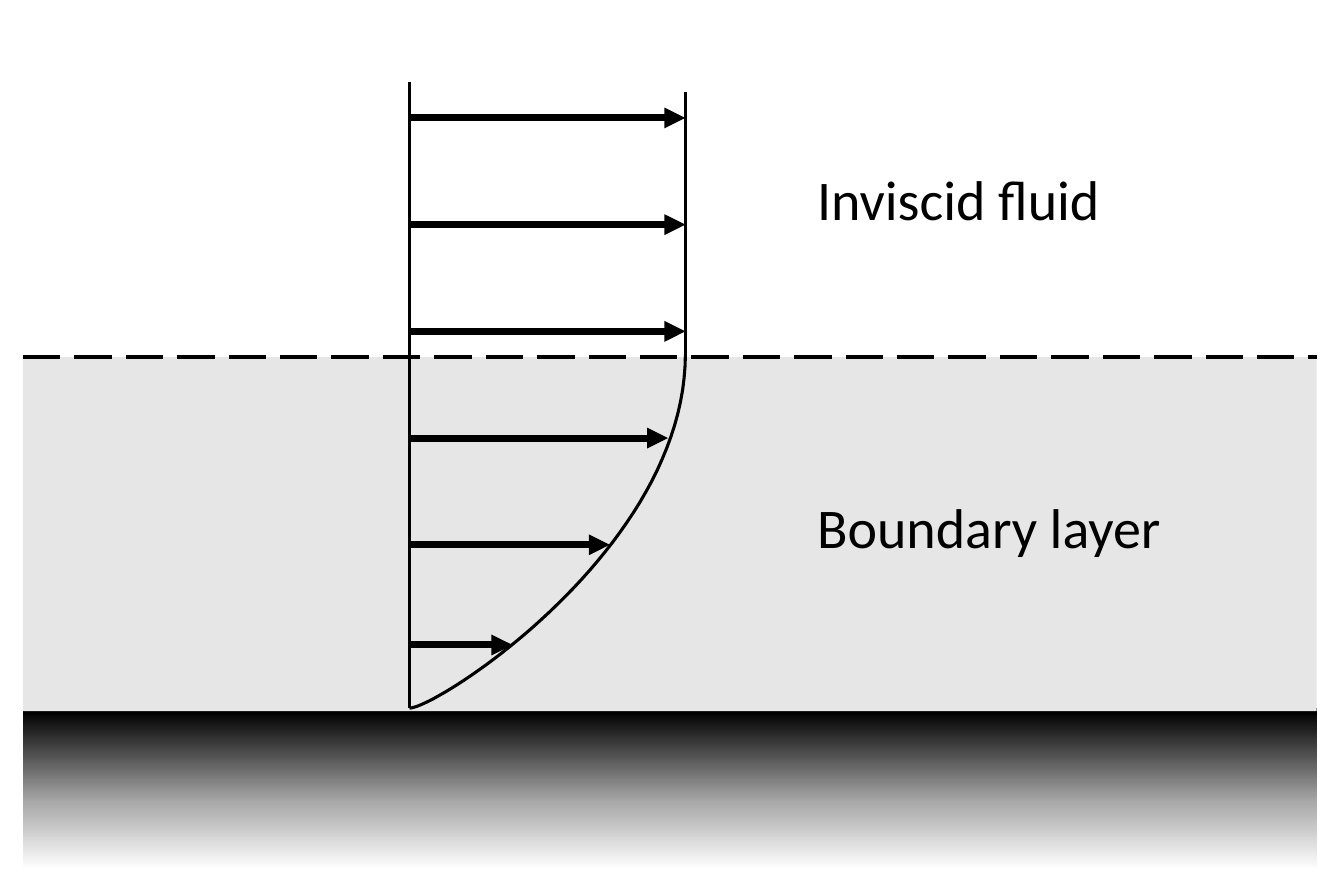
import copy

import pptx
import pptx.dml.color
import pptx.enum.dml
import pptx.enum.shapes
import pptx.enum.text
import pptx.oxml
import pptx.oxml.ns
import pptx.util

Pt = pptx.util.Pt
qn = pptx.oxml.ns.qn

BLACK = "000000"
LEFT, RIGHT = 7.4, 423.3          # extent of the flow region
LAYER_TOP, WALL_TOP = 114.8, 228.6
PROFILE_X, FREE_X = 131.6, 220.3  # zero velocity and free-stream velocity
CURVE_TOP, CURVE_BOTTOM = 113.8, 227.6


def color(hex_value):
    return pptx.dml.color.RGBColor.from_string(hex_value)


def set_attributes(target, values):
    for name, value in values.items():
        setattr(target, name, value)


def add_band(slide, top, height):
    """Add a full-width rectangle without outline."""
    shape = slide.shapes.add_shape(
        pptx.enum.shapes.MSO_SHAPE.RECTANGLE,
        Pt(LEFT), Pt(top), Pt(RIGHT - LEFT), Pt(height))
    shape.shadow.inherit = False
    shape.line.fill.background()
    return shape


def fill_gradient(shape, stops, angle):
    """Fill with any number of (percent, color) stops."""
    shape.fill.gradient()
    shape.fill.gradient_angle = angle
    stop_list = shape._element.spPr.find(qn("a:gradFill")).find(qn("a:gsLst"))
    while len(stop_list) < len(stops):
        stop_list.append(copy.deepcopy(stop_list[0]))
    for stop, (percent, hex_value) in zip(shape.fill.gradient_stops, stops):
        stop.position = percent / 100
        stop.color.rgb = color(hex_value)


def add_line(slide, start, end, width, dash=None, arrow=False):
    line = slide.shapes.add_connector(
        pptx.enum.shapes.MSO_CONNECTOR.STRAIGHT,
        *(Pt(value) for value in (*start, *end)))
    line.line.color.rgb = color(BLACK)
    set_attributes(line.line, {"width": Pt(width), "dash_style": dash})
    properties = line._element.spPr
    if arrow:
        tail = pptx.oxml.parse_xml(
            f'<a:tailEnd {pptx.oxml.ns.nsdecls("a")} type="triangle"/>')
        properties.find(qn("a:ln")).append(tail)
    properties.append(pptx.oxml.parse_xml(
        f'<a:effectLst {pptx.oxml.ns.nsdecls("a")}/>'))


def bezier_point(controls, t):
    weights = ((1 - t) ** 3, 3 * t * (1 - t) ** 2, 3 * t ** 2 * (1 - t), t ** 3)
    return tuple(Pt(sum(weight * value for weight, value in zip(weights, axis)))
                 for axis in zip(*controls))


def add_curve(slide, controls, width, segments=48):
    """Add an open cubic curve as a fine polyline."""
    points = [bezier_point(controls, i / segments) for i in range(segments + 1)]
    builder = slide.shapes.build_freeform(*points[0])
    builder.add_line_segments(points[1:], close=False)
    curve = builder.convert_to_shape()
    curve.shadow.inherit = False
    curve.fill.background()
    curve.line.color.rgb = color(BLACK)
    curve.line.width = Pt(width)


def add_label(slide, text, top, width):
    box = slide.shapes.add_textbox(Pt(255.6), Pt(top), Pt(width), Pt(29))
    set_attributes(box.text_frame, {
        "word_wrap": False,
        "auto_size": pptx.enum.text.MSO_AUTO_SIZE.SHAPE_TO_FIT_TEXT})
    run = box.text_frame.paragraphs[0].add_run()
    run.text = text
    set_attributes(run.font, {"name": "Calibri", "size": Pt(18)})
    run.font.color.rgb = color(BLACK)


def main():
    presentation = pptx.Presentation()
    set_attributes(presentation, {"slide_width": Pt(432), "slide_height": Pt(288)})
    slide = presentation.slides.add_slide(presentation.slide_layouts[6])

    # Wall
    wall = add_band(slide, WALL_TOP, 51)
    fill_gradient(wall, [(0, "FFFFFF"), (42, "AAAAAA"), (100, BLACK)], 90)
    add_line(slide, (LEFT, WALL_TOP), (RIGHT, WALL_TOP), 2.25)

    # Boundary layer and its edge
    layer = add_band(slide, LAYER_TOP, WALL_TOP - LAYER_TOP)
    layer.fill.solid()
    layer.fill.fore_color.rgb = color("E7E6E6")
    add_line(slide, (LEFT, LAYER_TOP), (RIGHT, LAYER_TOP), 1.5,
             dash=pptx.enum.dml.MSO_LINE.LONG_DASH)

    # Velocity arrows, evenly spaced except the one nearest the wall
    add_line(slide, (PROFILE_X, 26.4), (PROFILE_X, CURVE_BOTTOM), 1)
    arrow_ends = [FREE_X, FREE_X, FREE_X, 214.7, 196]
    arrows = [(37.9 + 34.3 * i, end) for i, end in enumerate(arrow_ends)]
    for y, end in arrows + [(207.3, 164.7)]:
        add_line(slide, (PROFILE_X, y), (end, y), 2.25, arrow=True)

    # Velocity profile
    add_curve(slide, [(FREE_X, CURVE_TOP), (FREE_X, 176.4),
                      (140.4, CURVE_BOTTOM), (PROFILE_X, CURVE_BOTTOM)], 1)
    add_line(slide, (FREE_X, 29.6), (FREE_X, CURVE_TOP), 1)

    # Labels
    add_label(slide, "Boundary layer", 154.8, 129.6)
    add_label(slide, "Inviscid fluid", 49.2, 112.3)

    presentation.save("out.pptx")


main()
